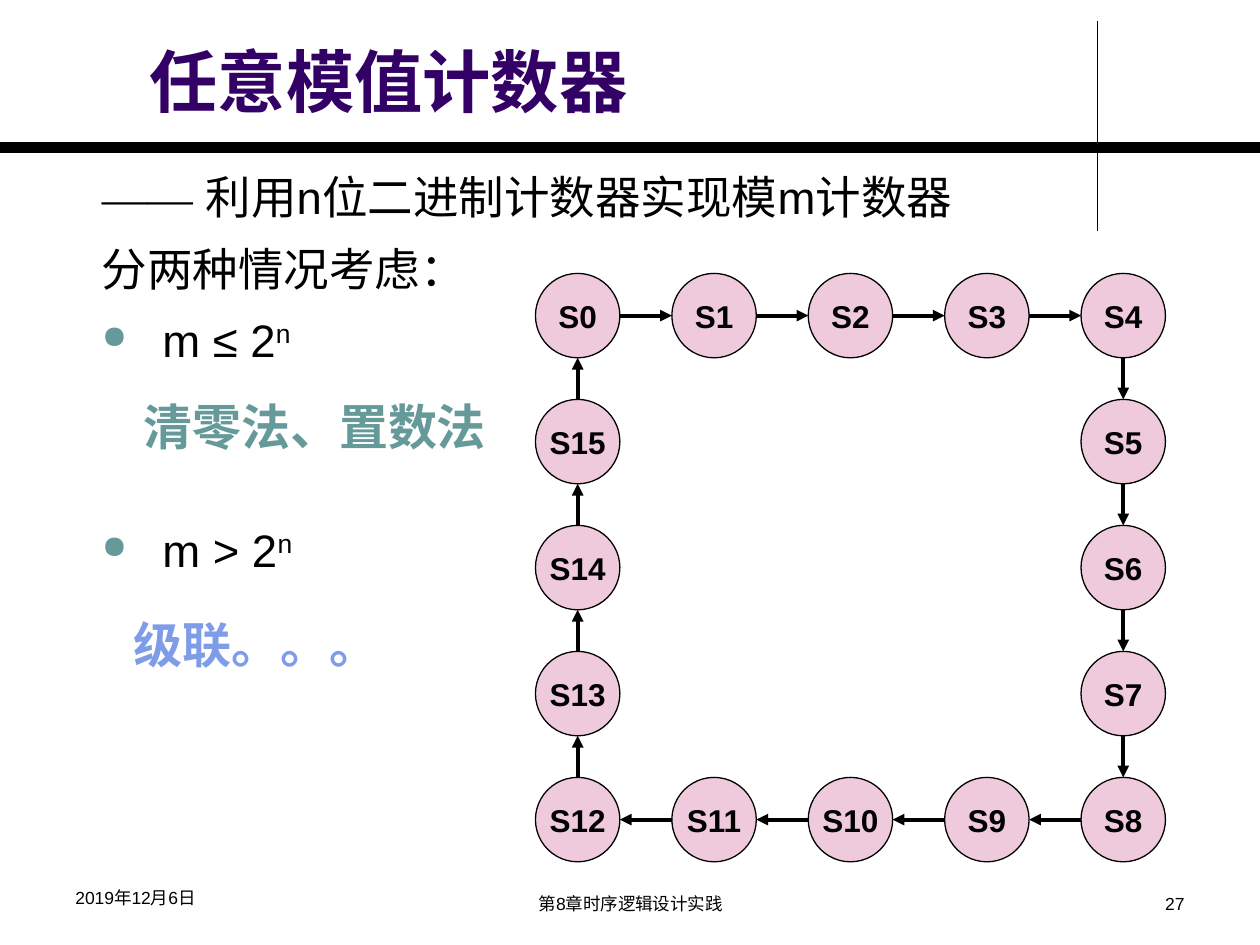
from lxml import etree
from pptx import Presentation
from pptx.dml.color import RGBColor
from pptx.enum.shapes import MSO_CONNECTOR, MSO_SHAPE
from pptx.enum.text import MSO_ANCHOR, PP_ALIGN
from pptx.oxml.ns import qn
from pptx.util import Inches, Pt

STRAIGHT = MSO_CONNECTOR.STRAIGHT
OVAL = MSO_SHAPE.OVAL
TOP, MIDDLE, BOTTOM = MSO_ANCHOR.TOP, MSO_ANCHOR.MIDDLE, MSO_ANCHOR.BOTTOM
LEFT, CENTER, RIGHT = PP_ALIGN.LEFT, PP_ALIGN.CENTER, PP_ALIGN.RIGHT

COLORS = {
    "black": "000000",
    "title": "330066",
    "teal": "669999",
    "blue": "7E9CE8",
    "pink": "EECADC",
}
SANS, SERIF = "Arial", "Times New Roman"


def rgb(name):
    return RGBColor.from_string(COLORS[name])


def add_run(paragraph, text, size, color="black", bold=False, font=SANS, raised=False):
    run = paragraph.add_run()
    run.text = text
    run.font.name = font
    run.font.size = Pt(size)
    run.font.bold = bold
    run.font.color.rgb = rgb(color)
    properties = run.font._element
    etree.SubElement(properties, qn("a:ea")).set("typeface", font)
    if raised:
        properties.set("baseline", "30000")


def add_text_frame(slide, box, anchor=TOP, wrap=True):
    frame = slide.shapes.add_textbox(*map(Inches, box)).text_frame
    frame.word_wrap = wrap
    frame.vertical_anchor = anchor
    return frame


def add_label(slide, box, text, size, color="black", bold=False,
              align=LEFT, anchor=TOP, wrap=True):
    paragraph = add_text_frame(slide, box, anchor, wrap).paragraphs[0]
    paragraph.alignment = align
    add_run(paragraph, text, size, color, bold)


def add_line(slide, start, end, width, arrow=False):
    line = slide.shapes.add_connector(STRAIGHT, *map(Inches, (*start, *end)))
    line.line.color.rgb = rgb("black")
    line.line.width = Pt(width)
    if arrow:
        etree.SubElement(line.line._get_or_add_ln(), qn("a:tailEnd")).set("type", "triangle")
    etree.SubElement(line._element.spPr, qn("a:effectLst"))


def set_indent(paragraph, bullet):
    properties = paragraph._p.get_or_add_pPr()
    properties.set("marL", str(Inches(0.76)))
    properties.set("indent", str(Inches(-0.38)))
    if not bullet:
        etree.SubElement(properties, qn("a:buNone"))
        return
    color = etree.SubElement(properties, qn("a:buClr"))
    etree.SubElement(color, qn("a:srgbClr")).set("val", COLORS["teal"])
    etree.SubElement(properties, qn("a:buSzPct")).set("val", "70000")
    etree.SubElement(properties, qn("a:buChar")).set("char", "●")


def add_header(slide, box):
    left, top, width, height = box
    rule_y, divider_x = 1.17, 8.71
    add_line(slide, (divider_x, top), (divider_x, 1.83), 0.75)
    add_line(slide, (left, rule_y), (left + width, rule_y), 6)
    add_label(slide, (left + 1.09, 0.2, 7.55, 0.81), "任意模值计数器", 39,
              "title", bold=True, anchor=BOTTOM)


def add_cases(slide, box):
    left, top, width, height = box
    frame = add_text_frame(slide, box)
    size, gap, method_gap = 26, 6.5, 85.5
    # Each line: bullet, space before, runs of (text, font, raised)
    lines = [
        (False, gap, [("——", SERIF, False),
                      (" 利用n位二进制计数器实现模m计数器", SANS, False)]),
        (False, gap, [("分两种情况考虑：", SANS, False)]),
        (True, gap, [(" m ≤ 2", SANS, False), ("n", SANS, True)]),
        (True, method_gap, [(" m > 2", SANS, False), ("n", SANS, True)]),
    ]
    for index, (bullet, space, runs) in enumerate(lines):
        paragraph = frame.add_paragraph() if index else frame.paragraphs[0]
        paragraph.line_spacing = 1.1
        paragraph.space_before = Pt(space)
        set_indent(paragraph, bullet)
        for text, font, raised in runs:
            add_run(paragraph, text, size, font=font, raised=raised)

    # Method for each case
    add_label(slide, (left + 0.71, top + 1.85, 2.94, 0.57), "清零法、置数法", 28,
              "teal", bold=True, wrap=False)
    add_label(slide, (left + 0.63, top + 3.58, 2.15, 0.57), "级联。。。", 28,
              "blue", bold=True, wrap=False)


def add_state(slide, center, diameter, name):
    x, y = center
    state = slide.shapes.add_shape(
        OVAL, *map(Inches, (x - diameter / 2, y - diameter / 2, diameter, diameter)))
    state.shadow.inherit = False
    state.fill.solid()
    state.fill.fore_color.rgb = rgb("pink")
    state.line.color.rgb = rgb("black")
    state.line.width = Pt(0.75)
    frame = state.text_frame
    frame.word_wrap = False
    frame.vertical_anchor = MIDDLE
    frame.paragraphs[0].alignment = CENTER
    add_run(frame.paragraphs[0], name, 18, bold=True)


def add_state_ring(slide, box):
    left, top, width, height = box
    diameter, steps = 0.67, 4
    radius = diameter / 2
    pitch_x = (width - diameter) / steps
    pitch_y = (height - diameter) / steps

    # Clockwise from the top left corner, four states to a side
    directions = [(1, 0), (0, 1), (-1, 0), (0, -1)]
    x, y = left + radius, top + radius
    for index in range(len(directions) * steps):
        dx, dy = directions[index // steps]
        next_x, next_y = x + dx * pitch_x, y + dy * pitch_y
        add_state(slide, (x, y), diameter, f"S{index}")
        add_line(slide, (x + dx * radius, y + dy * radius),
                 (next_x - dx * radius, next_y - dy * radius), 2.25, arrow=True)
        x, y = next_x, next_y


def add_footer(slide, box):
    left, top, width, height = box
    add_label(slide, (left, top, 2.33, height), "2019年12月6日", 10)
    add_label(slide, (left + 2.92, top + 0.05, 3.17, 0.29),
              "第8章时序逻辑设计实践", 10, align=CENTER)
    add_label(slide, (left + width - 2.33, top + 0.05, 2.33, 0.29), "27", 10, align=RIGHT)


def main():
    presentation = Presentation()
    presentation.slide_width = Inches(10)
    presentation.slide_height = Inches(7.5)
    slide = presentation.slides.add_slide(presentation.slide_layouts[6])
    add_header(slide, (0, 0.17, 10, 1.66))
    add_cases(slide, (0.33, 1.25, 9.33, 5.42))
    add_state_ring(slide, (4.25, 2.17, 5, 4.67))
    add_footer(slide, (0.5, 6.99, 9, 0.34))
    presentation.save("out.pptx")


if __name__ == "__main__":
    main()
